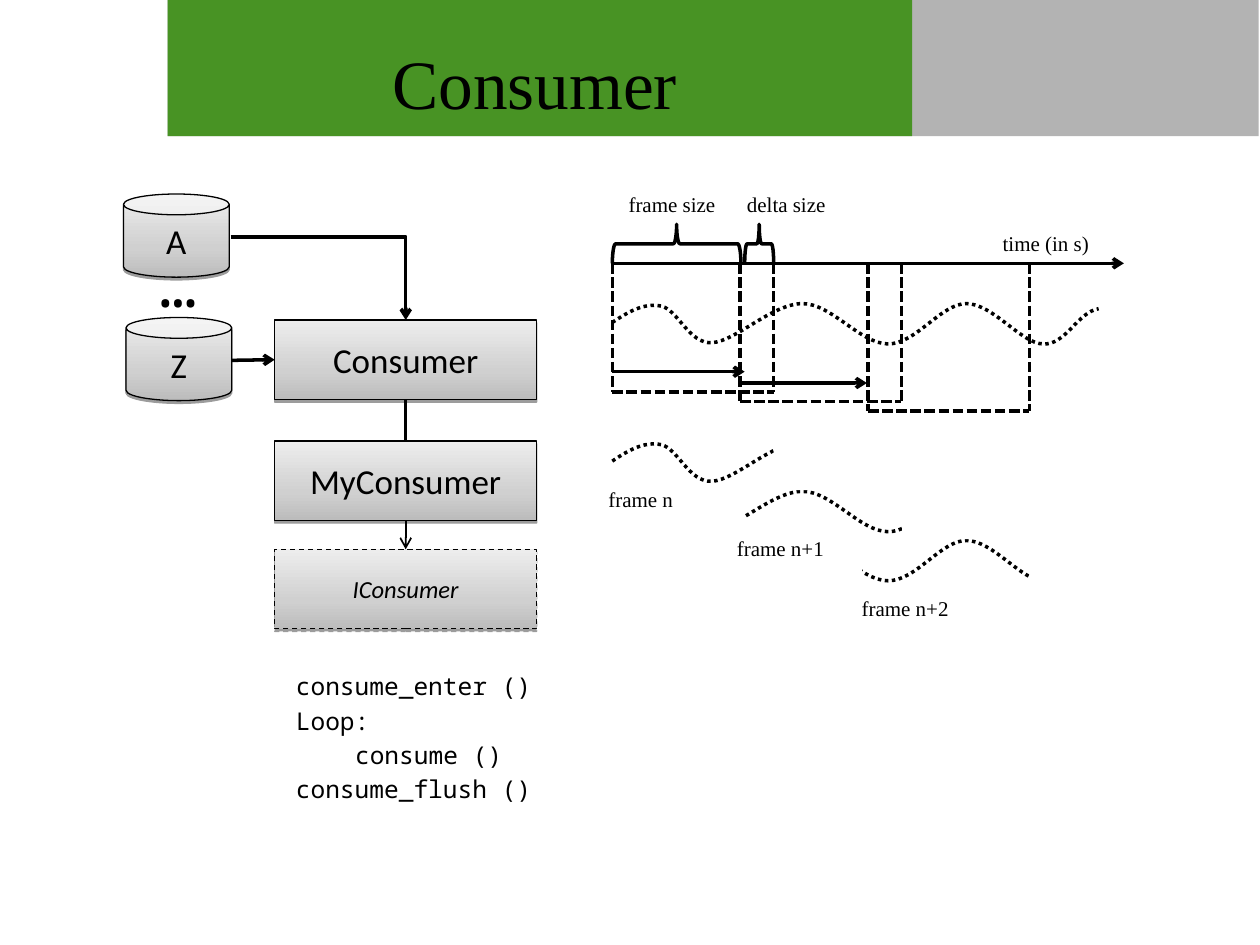
import dataclasses

import lxml.etree
import pptx
import pptx.dml.color
import pptx.enum.dml
import pptx.enum.shapes
import pptx.enum.text
import pptx.oxml
import pptx.oxml.ns
import pptx.util

Inches = pptx.util.Inches
Pt = pptx.util.Pt
RGBColor = pptx.dml.color.RGBColor
Shape = pptx.enum.shapes.MSO_SHAPE
Connector = pptx.enum.shapes.MSO_CONNECTOR
Dash = pptx.enum.dml.MSO_LINE
Align = pptx.enum.text.PP_ALIGN
Anchor = pptx.enum.text.MSO_ANCHOR
qn = pptx.oxml.ns.qn

BLACK = RGBColor(0x00, 0x00, 0x00)
WHITE = RGBColor(0xFF, 0xFF, 0xFF)
GREEN = RGBColor(0x48, 0x93, 0x24)
GREY = RGBColor(0xB3, 0xB3, 0xB3)
SHADES = ((0, "BCBCBC"), (35, "D0D0D0"), (100, "EDEDED"))
SERIF, SANS, MONO = "Times New Roman", "Calibri", "Noto Sans Mono"
NAMESPACE = pptx.oxml.ns.nsdecls("a")

# Time line geometry
AXIS_LEFT, AXIS_TOP = 4.86, 2.09
FRAME_WIDTH, FRAME_STEP = 1.28, 1.015
WAVE_CURVES = (  # control, control, end; relative to the left of the axis
    ((0.12, 0.08), (0.25, 0), (0.39, 0.03)),
    ((0.52, 0.06), (0.61, 0.33), (0.79, 0.32)),
    ((0.98, 0.31), (1.27, 0.01), (1.51, 0.01)),
    ((1.74, 0.01), (1.97, 0.33), (2.19, 0.33)),
    ((2.41, 0.33), (2.61, 0.01), (2.81, 0.01)),
    ((3.02, 0.01), (3.25, 0.33), (3.42, 0.33)),
    ((3.60, 0.34), (3.69, 0.08), (3.86, 0.05)),
)


@dataclasses.dataclass
class Node:
    text: str
    left: float
    top: float
    width: float = 2.08
    height: float = 0.63
    kind: int = Shape.RECTANGLE
    size: float = 20
    abstract: bool = False


@dataclasses.dataclass
class Label:
    text: str
    left: float
    top: float
    width: float
    height: float = 0.3
    size: float = 12
    font: str = SERIF
    align: int = Align.LEFT


def style_text(frame, size: float, font: str, align: int, italic=None) -> None:
    for para in frame.paragraphs:
        para.alignment = align
        for span in para.runs:
            span.font.size = Pt(size)
            span.font.name = font
            span.font.italic = italic
            span.font.color.rgb = BLACK


def style_line(line, width: float = 2, dash=None) -> None:
    line.color.rgb = BLACK
    line.width = Pt(width)
    if dash is not None:
        line.dash_style = dash


def add_block(page, left, top, width, height, color, kind=Shape.RECTANGLE):
    block = page.shapes.add_shape(kind, Inches(left), Inches(top), Inches(width), Inches(height))
    block.shadow.inherit = False
    block.line.fill.background()
    if color is None:
        block.fill.background()
    else:
        block.fill.solid()
        block.fill.fore_color.rgb = color
    return block


def add_node(page, node: Node):
    box = add_block(page, node.left, node.top, node.width, node.height, WHITE, node.kind)
    style_line(box.line, 0.75, Dash.DASH if node.abstract else None)
    # Three-stop gradient and a hard shadow below
    properties = box._element.spPr
    stops = "".join(
        f'<a:gs pos="{place * 1000}"><a:srgbClr val="{shade}"/></a:gs>' for place, shade in SHADES
    )
    gradient = pptx.oxml.parse_xml(
        f'<a:gradFill {NAMESPACE} rotWithShape="1"><a:gsLst>{stops}</a:gsLst>'
        '<a:lin ang="16200000" scaled="0"/></a:gradFill>'
    )
    properties.replace(properties.find(qn("a:solidFill")), gradient)
    properties.find(qn("a:effectLst")).append(pptx.oxml.parse_xml(
        f'<a:outerShdw {NAMESPACE} blurRad="0" dist="20000" dir="5400000" rotWithShape="0">'
        '<a:srgbClr val="000000"><a:alpha val="38000"/></a:srgbClr></a:outerShdw>'
    ))
    frame = box.text_frame
    frame.text = node.text
    frame.word_wrap = False
    frame.vertical_anchor = Anchor.MIDDLE
    style_text(frame, node.size, SANS, Align.CENTER, node.abstract or None)
    return box


def add_label(page, label: Label):
    box = page.shapes.add_textbox(
        Inches(label.left), Inches(label.top), Inches(label.width), Inches(label.height))
    frame = box.text_frame
    frame.text = label.text
    frame.word_wrap = False
    frame.auto_size = pptx.enum.text.MSO_AUTO_SIZE.SHAPE_TO_FIT_TEXT
    style_text(frame, label.size, label.font, label.align)
    return box


def add_line(shapes, start, end, width=2, dash=None, arrow=False, kind=Connector.STRAIGHT):
    line = shapes.add_connector(kind, *(Inches(value) for value in (*start, *end)))
    style_line(line.line, width, dash)
    if arrow:
        lxml.etree.SubElement(line.line._get_or_add_ln(), qn("a:tailEnd"), type="arrow")
    lxml.etree.SubElement(line._element.spPr, qn("a:effectLst"))
    return line


def add_wave(page, top: float) -> None:
    builder = page.shapes.build_freeform(Inches(AXIS_LEFT), Inches(top + 0.16))
    points = [point for curve in WAVE_CURVES for point in curve]
    builder.add_line_segments(
        [(Inches(AXIS_LEFT + x), Inches(top + y)) for x, y in points], close=False)
    wave = builder.convert_to_shape()
    wave.shadow.inherit = False
    wave.fill.background()
    style_line(wave.line, 2, Dash.ROUND_DOT)
    # Each three segments become one cubic curve
    segments = list(wave._element.iter(qn("a:lnTo")))
    for index in range(0, len(segments), 3):
        curve = lxml.etree.Element(qn("a:cubicBezTo"))
        segments[index].addprevious(curve)
        for segment in segments[index:index + 3]:
            curve.append(segment[0])
            segment.getparent().remove(segment)


def add_brace(page, left: float, top: float, width: float, height: float) -> None:
    # A left brace turned upward: its unrotated box shares the centre
    brace = add_block(page, left + (width - height) / 2, top + (height - width) / 2,
                      height, width, None, Shape.LEFT_BRACE)
    brace.rotation = 90
    style_line(brace.line)


def add_frame(page, left: float, bottom: float) -> None:
    group, right = page.shapes.add_group_shape(), left + FRAME_WIDTH
    for start, end in (((left, AXIS_TOP), (left, bottom)), ((right, AXIS_TOP), (right, bottom)),
                       ((left, bottom), (right, bottom))):
        add_line(group.shapes, start, end, dash=Dash.SQUARE_DOT)


def main() -> None:
    deck = pptx.Presentation()
    deck.slide_width, deck.slide_height = Inches(10), Inches(7.5)
    page = deck.slides.add_slide(deck.slide_layouts[5])

    # Header bars and title
    add_block(page, 1.33, 0, 8.66, 1.08, GREY)
    add_block(page, 1.33, 0, 5.91, 1.08, GREEN)
    title = page.shapes.title
    title.left, title.top, title.width, title.height = map(Inches, (1.33, 0.3, 5.83, 0.7))
    title.text_frame.text = "Consumer"
    title.text_frame.vertical_anchor = Anchor.MIDDLE
    style_text(title.text_frame, 39.6, SERIF, Align.CENTER)
    page.shapes._spTree.append(title._element)

    # Sources and consumer classes
    add_node(page, Node("A", 0.98, 1.54, 0.84, 0.66, Shape.CAN))
    add_node(page, Node("Z", 1, 2.52, 0.84, 0.66, Shape.CAN))
    add_label(page, Label("…", 1.17, 1.89, 0.5, 0.7, 36, MONO, Align.CENTER))
    consumer = add_node(page, Node("Consumer", 2.18, 2.54))
    custom = add_node(page, Node("MyConsumer", 2.18, 3.5))
    interface = add_node(page, Node("IConsumer", 2.18, 4.36, size=14, abstract=True))
    add_line(page.shapes, (1.84, 2.86), (2.18, 2.86), arrow=True).end_connect(consumer, 1)
    elbow = add_line(page.shapes, (1.83, 1.88), (3.22, 2.54), arrow=True, kind=Connector.ELBOW)
    elbow._element.spPr.find(qn("a:prstGeom")).set("prst", "bentConnector2")
    elbow.end_connect(consumer, 0)
    for upper, lower, width, arrow in ((consumer, custom, 2, False), (custom, interface, 1, True)):
        link = add_line(page.shapes, (3.22, 3.17), (3.22, 3.5), width, arrow=arrow)
        link.begin_connect(upper, 2)
        link.end_connect(lower, 0)

    # Call sequence
    code = add_label(page, Label("consume_enter ()\nLoop:\nconsume ()\nconsume_flush ()",
                                 2.25, 5.28, 3.2, 1.19, 14, MONO))
    code.text_frame.word_wrap = True
    for para in code.text_frame.paragraphs:
        spacing = lxml.etree.SubElement(para._p.get_or_add_pPr(), qn("a:spcBef"))
        lxml.etree.SubElement(spacing, qn("a:spcPct"), val="20000")
    loop_body = code.text_frame.paragraphs[2]._p.get_or_add_pPr()
    loop_body.set("marL", str(Inches(0.47)))

    # Time axis, overlapping frames and signal
    add_line(page.shapes, (AXIS_LEFT, AXIS_TOP), (8.92, AXIS_TOP), arrow=True)
    for index in range(3):
        add_frame(page, AXIS_LEFT + index * FRAME_STEP, 3.11 + index * 0.075)
    add_wave(page, 2.4)
    add_brace(page, 4.86, 1.78, 1.02, 0.31)
    add_brace(page, 5.91, 1.78, 0.23, 0.31)

    # One signal per frame, trimmed by white covers
    for index in range(3):
        add_wave(page, 3.5 + index * 0.39)
    for cover in ((6.14, 3.42, 2.81, 0.47), (4.66, 3.89, 1.25, 0.86), (5.59, 4.2, 1.25, 0.62),
                  (7.16, 3.34, 1.8, 0.94), (8.17, 4.04, 0.62, 0.94)):
        add_block(page, *cover, WHITE)
    add_line(page.shapes, (4.86, 2.95), (5.91, 2.95), arrow=True)
    add_line(page.shapes, (5.87, 3.04), (6.88, 3.04), arrow=True)

    for label in (Label("time (in s)", 7.86, 1.78, 0.9), Label("frame size", 4.89, 1.47, 0.89),
                  Label("delta size", 5.83, 1.47, 0.83), Label("frame n", 4.73, 3.81, 0.72),
                  Label("frame n+1", 5.75, 4.2, 0.89), Label("frame n+2", 6.74, 4.68, 0.89)):
        add_label(page, label)

    deck.save("out.pptx")


if __name__ == "__main__":
    main()
